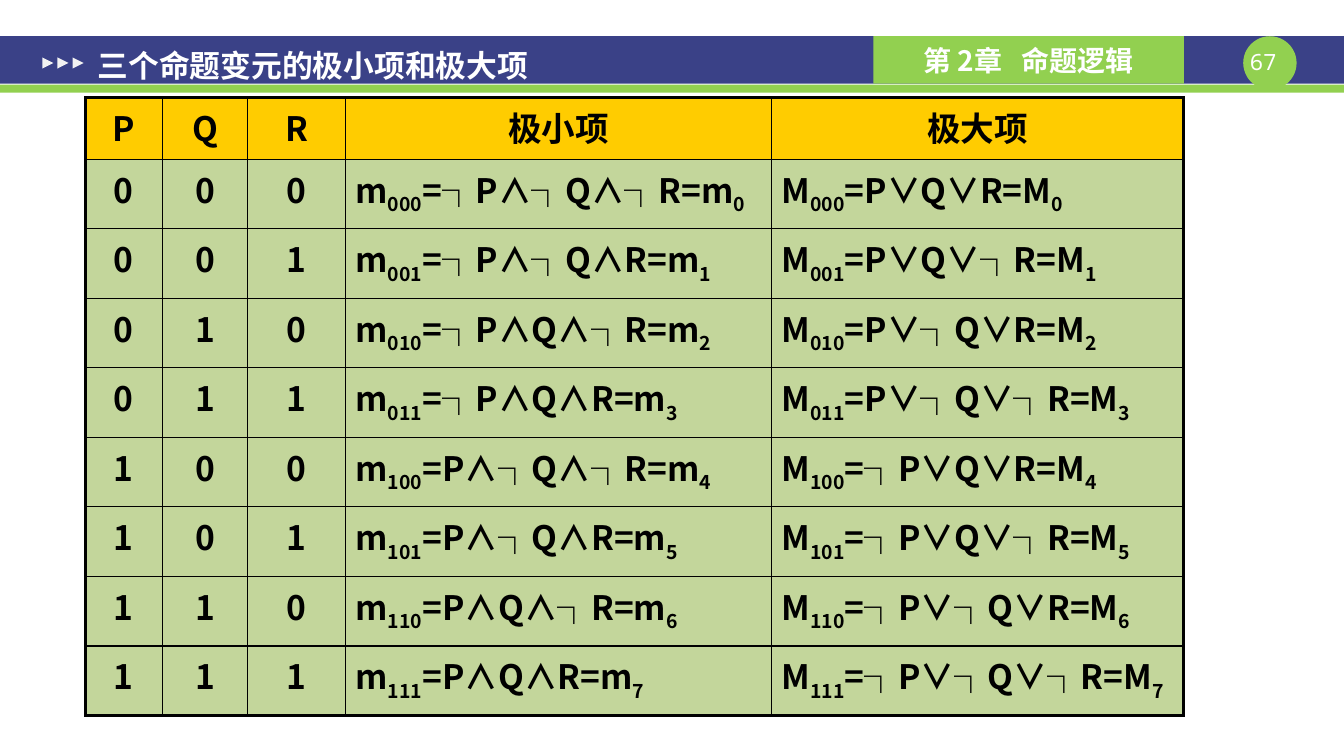
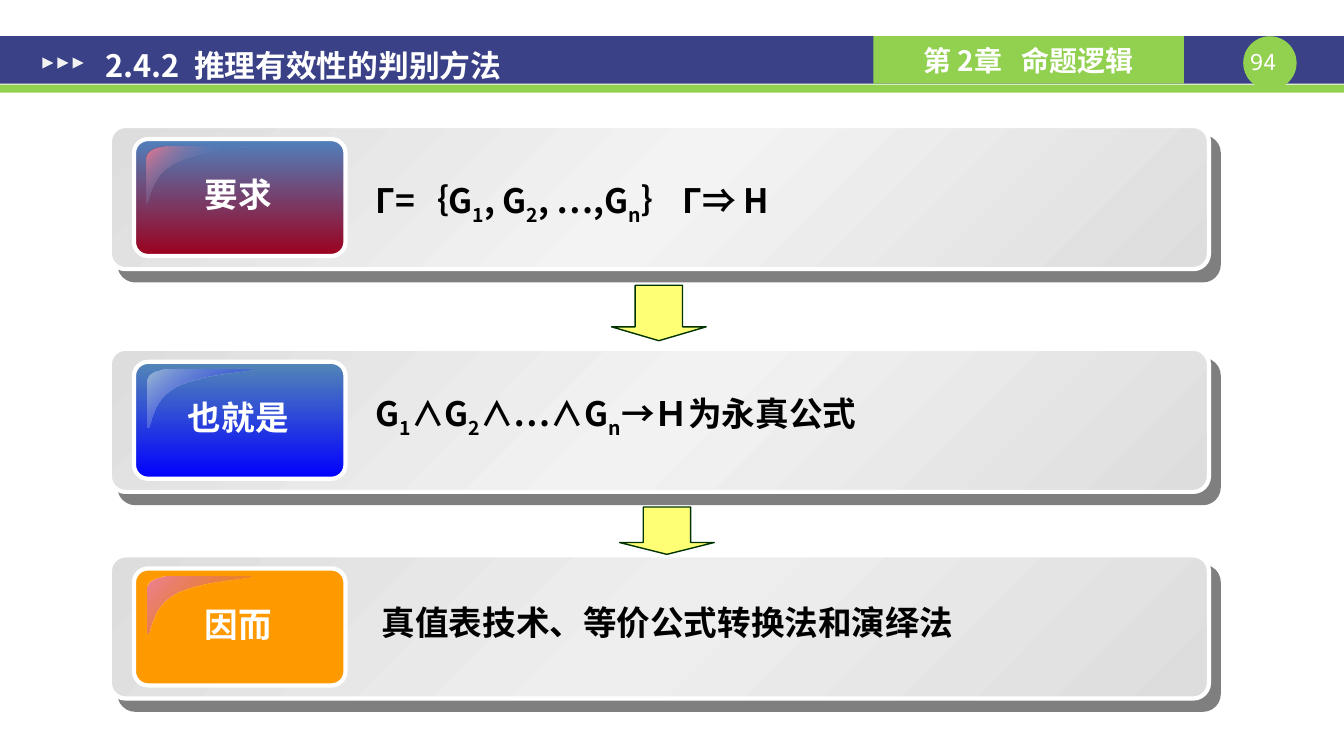
from lxml import etree
from pptx import Presentation
from pptx import util as u
from pptx.dml.color import RGBColor
from pptx.enum import shapes as kinds, text as t
from pptx.oxml.ns import qn
from itertools import product

COLORS = {
    "navy": "3A4187", "green": "92D050", "white": "FFFFFF", "mark": "F2F2F2",
    "black": "000000", "gold": "FFCC00", "sage": "C3D69B", "edge": "DDDDDD",
    "orange": "FF9900", "yellow": "FFFF66", "forest": "003300",
}
FONT, PAGE_FONT = "Noto Sans CJK SC", "Noto Sans Mono"
SHAPE, ALIGN, ANCHOR = kinds.MSO_SHAPE, t.PP_ALIGN, t.MSO_ANCHOR

# The slide is a grid of 1334 columns by 750 rows of square cells
CELL = u.Inches(13.34) // 1334
COLUMNS, ROWS = 1334, 750


def draw(shapes, kind, box, fill=None, line=None):
    """Add a text box (kind None), an outline (list of points) or a preset shape.

    A list as fill holds gradient stops (position, colour, alpha) and ends with the angle.
    """
    if kind is None:
        return shapes.add_textbox(*[n * CELL for n in box])
    if isinstance(kind, list):
        points = [((box[0] + x) * 100, (box[1] + y) * 100) for x, y in kind]
        builder = shapes.build_freeform(*points[0], scale=CELL / 100)
        builder.add_line_segments(points[1:])
        shape = builder.convert_to_shape()
    else:
        shape = shapes.add_shape(kind, *[n * CELL for n in box])
    shape.shadow.inherit = False
    if isinstance(fill, list):
        shape.fill.gradient()
        gradient = shape.element.spPr.find(qn("a:gradFill"))
        for child in list(gradient):
            gradient.remove(child)
        stops = etree.SubElement(gradient, qn("a:gsLst"))
        for position, color, alpha in fill[:-1]:
            stop = etree.SubElement(stops, qn("a:gs"), pos=str(position * 1000))
            color_element = etree.SubElement(stop, qn("a:srgbClr"), val=color)
            if alpha < 100:
                etree.SubElement(color_element, qn("a:alpha"), val=str(alpha * 1000))
        etree.SubElement(gradient, qn("a:lin"), ang=str(fill[-1] * 60000), scaled="0")
    else:
        shape.fill.solid()
        shape.fill.fore_color.rgb = RGBColor.from_string(fill)
    if line:
        shape.line.color.rgb = RGBColor.from_string(line[0])
        shape.line.width = u.Pt(line[1])
    else:
        shape.line.fill.background()
    return shape


def write(frame, content, size, color, align=ALIGN.LEFT, bold=True, font=FONT):
    """Fill the first paragraph; parts between tildes are subscripts."""
    paragraph = frame.paragraphs[0]
    paragraph.alignment = align
    for number, part in enumerate(content.split("~")):
        if not part:
            continue
        run = paragraph.add_run()
        run.text = part
        run.font.size, run.font.bold, run.font.name = u.Pt(size), bold, font
        run.font.color.rgb = RGBColor.from_string(COLORS[color])
        properties = run._r.get_or_add_rPr()
        etree.SubElement(properties, qn("a:ea"), typeface=font)
        if number % 2:
            properties.set("baseline", "-25000")


presentation = Presentation()
presentation.slide_width, presentation.slide_height = COLUMNS * CELL, ROWS * CELL
layout = presentation.slide_layouts[5]
for placeholder in list(layout.placeholders):
    if placeholder.placeholder_format.idx:
        placeholder.element.getparent().remove(placeholder.element)

# Titles and page numbers
slides = []
for title_text, title_left, page in (
    ("三个命题变元的极小项和极大项", 84, "67 "),
    ("2.4.2  推理有效性的判别方法", 92, "94 "),
):
    slide = presentation.slides.add_slide(layout)
    slides.append(slide)
    title = slide.shapes.title
    title.left, title.top, title.width, title.height = [
        n * CELL for n in (title_left, 34, 882, 61)]
    frame = title.text_frame
    frame.auto_size, frame.word_wrap = t.MSO_AUTO_SIZE.NONE, True
    frame.vertical_anchor = ANCHOR.MIDDLE
    frame.margin_left = frame.margin_right = 13 * CELL
    frame.margin_top = frame.margin_bottom = 7 * CELL
    write(frame, title_text, 22, "white")

    frame = draw(slide.shapes, None, (1234, 48, 53, 27)).text_frame
    frame.word_wrap = True
    frame.margin_left = frame.margin_right = frame.margin_top = frame.margin_bottom = 0
    write(frame, page, 16, "white", ALIGN.CENTER, False, PAGE_FONT)

table_slide, steps_slide = slides

# Header band, drawn once and moved to the layout
band = [
    draw(table_slide.shapes, kind, box, COLORS[color])
    for kind, box, color in (
        (SHAPE.RECTANGLE, (0, 36, COLUMNS, 47), "navy"),
        (SHAPE.RECTANGLE, (0, 84, COLUMNS, 8), "green"),
        (SHAPE.OVAL, (1234, 36, 53, 53), "green"),
        (SHAPE.RECTANGLE, (867, 36, 308, 47), "green"),
    )
]
frame = band[-1].text_frame
frame.vertical_anchor = ANCHOR.MIDDLE
write(frame, "第 2章   命题逻辑", 20, "white", ALIGN.CENTER)
for index in range(3):
    mark = draw(table_slide.shapes, SHAPE.ISOSCELES_TRIANGLE,
                (42 + 15 * index, 57, 11, 11), COLORS["mark"])
    mark.rotation = 90
    band.append(mark)
for shape in band:
    layout.shapes.element.append(shape.element)

# Truth table: every minterm and maxterm of P, Q, R
NAMES = "PQR"
rows = [[*NAMES, "极小项", "极大项"]]
for number, bits in enumerate(product("01", repeat=3)):
    code = "".join(bits)
    minterm = "∧".join(n if bit == "1" else "┐" + n for n, bit in zip(NAMES, bits))
    maxterm = "∨".join(n if bit == "0" else "┐" + n for n, bit in zip(NAMES, bits))
    rows.append([*bits, f"m~{code}~={minterm}=m~{number}~", f"M~{code}~={maxterm}=M~{number}~"])

widths, heights = (76, 85, 97, 423, 409), [61] + [69] * 8
table = table_slide.shapes.add_table(
    len(rows), len(widths),
    *[n * CELL for n in (85, 97, sum(widths), sum(heights))]).table
table.first_row = table.horz_banding = False
for column, width in zip(table.columns, widths):
    column.width = width * CELL
for r, (values, height) in enumerate(zip(rows, heights)):
    table.rows[r].height = height * CELL
    for c, value in enumerate(values):
        cell = table.cell(r, c)
        cell.fill.solid()
        cell.fill.fore_color.rgb = RGBColor.from_string(COLORS["sage" if r else "gold"])
        write(cell.text_frame, value, 24, "black",
              ALIGN.JUSTIFY if r and c > 2 else ALIGN.CENTER)
        # Thick outer frame, thin inner rules
        outer = (c == 0, c == len(widths) - 1, r == 0, r == len(rows) - 1)
        properties = cell._tc.get_or_add_tcPr()
        for index, (side, thick) in enumerate(zip("LRTB", outer)):
            border = etree.Element(qn("a:ln" + side), w=str(u.Pt(2.25 if thick else 1)))
            border_fill = etree.SubElement(border, qn("a:solidFill"))
            etree.SubElement(border_fill, qn("a:srgbClr"), val=COLORS["black"])
            properties.insert(index, border)

# Gloss outline: straight corner plus sampled cubic curves
gloss = [(21, 0)]
for curve in (
    ((21, 0), (9, 0), (0, 5), (0, 12)),
    ((0, 57), (5, 58), (2, 30), (29, 17)),
    ((29, 17), (55, 4), (105, 3), (104, 0)),
):
    for step in range(13):
        s = step / 12
        weights = ((1 - s) ** 3, 3 * s * (1 - s) ** 2, 3 * s * s * (1 - s), s ** 3)
        gloss.append(tuple(sum(w * p[axis] for w, p in zip(weights, curve)) for axis in (0, 1)))

# Three step cards: top, middle grey, tab fill, gloss fill, label, text and its offset
for top, middle, tab_fill, gloss_fill, label, content, text_left, text_drop in (
    (125, "F3F3F3", [(0, "4F81BD", 100), (100, "9C001D", 100), 90],
     [(0, "EE748A", 100), (50, "4F81BD", 0), (100, "EE748A", 100), 45],
     "要求", "Г=｛G~1~, G~2~, …,G~n~｝ Г⇒ H", 363, 49),
    (346, "F2F2F2", [(0, "5487B6", 100), (100, "0000FF", 100), 90],
     [(0, "9BB9D4", 100), (100, "0000FF", 0), 45],
     "也就是", "G~1~∧G~2~∧…∧G~n~→Ｈ为永真公式", 363, 39),
    (551, "EEEEEE", COLORS["orange"],
     [(0, "EF8397", 100), (100, "C0504D", 0), 45],
     "因而", "真值表技术、等价公式转换法和演绎法", 369, 41),
):
    group = steps_slide.shapes.add_group_shape().shapes
    outline = (COLORS["white"], 3)
    card_fill = [(0, COLORS["edge"], 100), (50, middle, 100), (100, COLORS["edge"], 100), 45]
    card = draw(group, SHAPE.ROUNDED_RECTANGLE, (109, top, 1091, 142), card_fill, outline)
    card.adjustments[0] = 0.11
    shadow = etree.SubElement(
        card.element.spPr.find(qn("a:effectLst")), qn("a:outerShdw"), blurRad="0",
        dist=str(u.Pt(10.6)), dir=str(49 * 60000), algn="ctr", rotWithShape="0")
    shadow_color = etree.SubElement(shadow, qn("a:srgbClr"), val=COLORS["black"])
    etree.SubElement(shadow_color, qn("a:alpha"), val="50000")

    tab = draw(group, SHAPE.ROUNDED_RECTANGLE, (133, top + 13, 210, 116), tab_fill, outline)
    tab.adjustments[0] = 0.12
    draw(group, gloss, (146, top + 21), gloss_fill)

    frame = draw(group, None, (176, top + 43, 121, 50)).text_frame
    frame.word_wrap = False
    write(frame, label, 24, "white", ALIGN.CENTER)
    frame = draw(group, None, (text_left, top + text_drop, 802, 50)).text_frame
    frame.word_wrap = True
    write(frame, content, 24, "black")

# Arrows between the cards
for box in ((607, 283, 94, 55), (615, 503, 94, 47)):
    arrow = draw(steps_slide.shapes, SHAPE.DOWN_ARROW, box, COLORS["yellow"],
                 (COLORS["forest"], 1))
    arrow.adjustments[0], arrow.adjustments[1] = 0.5, 0.25
    arrow_color = arrow.element.spPr.find(qn("a:solidFill")).find(qn("a:srgbClr"))
    etree.SubElement(arrow_color, qn("a:alpha"), val="90000")

presentation.save("out.pptx")
